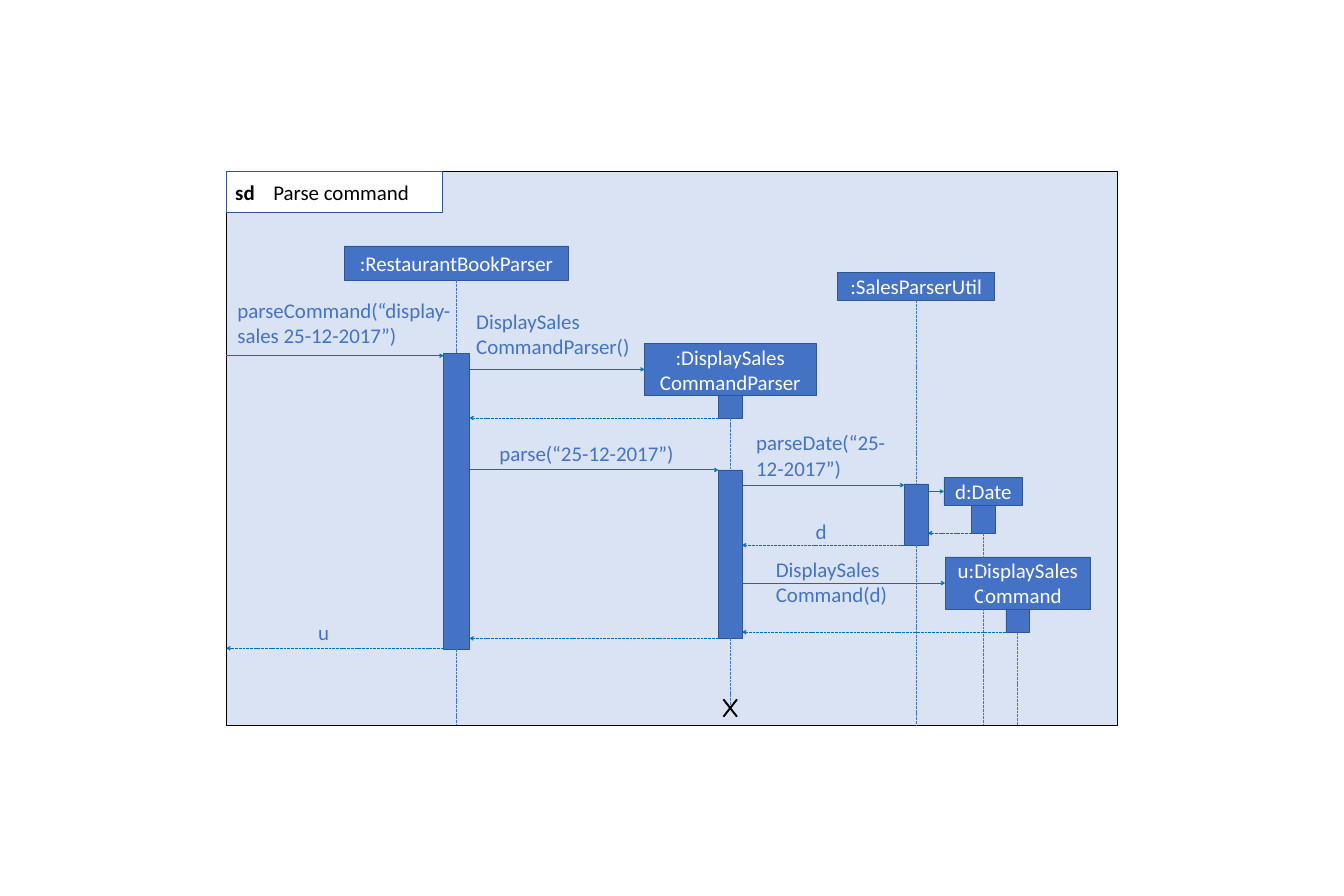
from lxml import etree
from pptx import Presentation
from pptx.dml.color import RGBColor
from pptx.enum.dml import MSO_LINE
from pptx.enum.shapes import MSO_CONNECTOR, MSO_SHAPE
from pptx.enum.text import MSO_ANCHOR, PP_ALIGN
from pptx.oxml.ns import qn
from pptx.util import Inches, Pt

RECT = MSO_SHAPE.RECTANGLE
CROSS = MSO_SHAPE.MATH_MULTIPLY
STRAIGHT = MSO_CONNECTOR.STRAIGHT
DASH = MSO_LINE.SQUARE_DOT
MIDDLE = MSO_ANCHOR.MIDDLE
CENTER = PP_ALIGN.CENTER

BLUE, EDGE, ARROW = "4472C4", "325491", "0070C0"
PALE, WHITE, BLACK = "DAE3F3", "FFFFFF", "000000"
FONT, SIZE = "Calibri", 33.6
PARSER, SALES, UTIL, DATE, CMD = 10.19, 16.3, 20.45, 21.95, 22.72
LEFT, TOP, WIDTH, BOTTOM = 5.05, 3.83, 19.9, 16.18
BAR = 0.53


def color(code):
    return RGBColor.from_string(code)


def style(frame, code):
    for para in frame.paragraphs:
        for run in para.runs:
            run.font.name = FONT
            run.font.size = Pt(SIZE)
            run.font.color.rgb = color(code)


def block(slide, x, y, w, h, fill=BLUE, edge=EDGE, kind=RECT):
    shape = slide.shapes.add_shape(kind, Inches(x), Inches(y), Inches(w), Inches(h))
    shape.shadow.inherit = False
    shape.fill.solid()
    shape.fill.fore_color.rgb = color(fill)
    shape.line.color.rgb = color(edge)
    shape.line.width = Pt(1)
    return shape


def head(slide, mid, y, w, h, text):
    shape = block(slide, mid - w / 2, y, w, h)
    frame = shape.text_frame
    frame.word_wrap = True
    frame.vertical_anchor = MIDDLE
    frame.margin_left = frame.margin_right = Inches(0.24)
    frame.margin_top = frame.margin_bottom = Inches(0.12)
    frame.text = text
    for para in frame.paragraphs:
        para.alignment = CENTER
    style(frame, WHITE)
    return shape


def bar(slide, mid, top, end, w=BAR):
    return block(slide, mid - w / 2, top, w, end - top)


def label(slide, x, y, w, h, text):
    box = slide.shapes.add_textbox(Inches(x), Inches(y), Inches(w), Inches(h))
    box.text_frame.word_wrap = True
    box.text_frame.text = text
    style(box.text_frame, BLUE)


def line(slide, x1, y1, x2, y2, code, dashed):
    link = slide.shapes.add_connector(STRAIGHT, x1, y1, x2, y2)
    link.line.color.rgb = color(code)
    link.line.width = Pt(1.5)
    if dashed:
        link.line.dash_style = DASH
    etree.SubElement(link._element.spPr, qn("a:effectLst"))
    return link


def life(slide, start, end):
    x, y = start.left + start.width // 2, start.top + start.height
    joined = not isinstance(end, float)
    stop = end.top if joined else Inches(end)
    link = line(slide, x, y, x, stop, BLUE, True)
    link.begin_connect(start, 2)
    if joined:
        link.end_connect(end, 0)


def send(slide, x1, x2, y, dashed=False):
    link = line(slide, x1, y, x2, y, ARROW, dashed)
    etree.SubElement(link.line._get_or_add_ln(), qn("a:tailEnd"), type="arrow")
    return link


def call(slide, source, target, y):
    send(slide, source.left + source.width, target.left, Inches(y))


def create(slide, source, target):
    y = target.top + target.height // 2
    send(slide, source.left + source.width, target.left, y).end_connect(target, 1)


def reply(slide, source, target, y):
    send(slide, source.left, target.left + target.width, Inches(y), True)


def title(slide):
    frame = block(slide, LEFT, TOP, 4.82, 0.9, WHITE).text_frame
    frame.vertical_anchor = MIDDLE
    frame.margin_left = Inches(0.2)
    para = frame.paragraphs[0]
    para.alignment = PP_ALIGN.LEFT
    tabs = etree.SubElement(para._p.get_or_add_pPr(), qn("a:tabLst"))
    etree.SubElement(tabs, qn("a:tab"), pos=str(Inches(0.85)), algn="l")
    for text, bold in (("sd", True), ("\tParse command", False)):
        run = para.add_run()
        run.text = text
        run.font.bold = bold
    style(frame, BLACK)


def main():
    deck = Presentation()
    deck.slide_width, deck.slide_height = Inches(30), Inches(20)
    slide = deck.slides.add_slide(deck.slide_layouts[6])
    block(slide, LEFT, TOP, WIDTH, BOTTOM - TOP, PALE, BLACK)
    title(slide)

    parser = head(slide, PARSER, 5.49, 4.99, 0.77, ":RestaurantBookParser")
    sales = head(slide, SALES, 7.66, 3.83, 1.17, ":DisplaySales\nCommandParser")
    util = head(slide, UTIL, 6.08, 3.5, 0.62, ":SalesParserUtil")
    date = head(slide, DATE, 10.66, 1.76, 0.62, "d:Date")
    cmd = head(slide, CMD, 12.43, 3.25, 1.17, "u:DisplaySalesCommand")

    run = bar(slide, PARSER, 7.89, 14.49, 0.58)
    made = bar(slide, SALES, 8.83, 9.33)
    parse = bar(slide, SALES, 10.49, 14.25)
    check = bar(slide, UTIL, 10.8, 12.17)
    day = bar(slide, DATE, 11.28, 11.9)
    built = bar(slide, CMD, 13.6, 14.11)

    for start, end in (
        (parser, run), (run, BOTTOM), (made, parse), (parse, 15.74),
        (util, check), (check, BOTTOM), (day, BOTTOM), (built, BOTTOM),
    ):
        life(slide, start, end)
    cross = block(slide, SALES - 0.285, 15.44, 0.57, 0.73, BLACK, BLACK, CROSS)
    cross.adjustments[0] = 0.05

    send(slide, Inches(LEFT), run.left, Inches(7.94))
    send(slide, run.left, Inches(LEFT), Inches(14.47), True)
    for source, target in ((run, sales), (check, date), (parse, cmd)):
        create(slide, source, target)
    for source, target, y in ((run, parse, 10.49), (parse, check, 10.83)):
        call(slide, source, target, y)
    for source, target, y in (
        (made, run, 9.33), (day, check, 11.9), (check, parse, 12.17),
        (built, parse, 14.11), (parse, run, 14.25),
    ):
        reply(slide, source, target, y)

    for x, y, w, h, text in (
        (5.2, 6.6, 4.99, 1.23, "parseCommand(“display-sales 25-12-2017”)"),
        (10.53, 6.83, 4.08, 1.23, "DisplaySales\nCommandParser()"),
        (11.05, 9.79, 4.5, 0.67, "parse(“25-12-2017”)"),
        (16.78, 9.55, 3.43, 1.23, "parseDate(“25-12-2017”)"),
        (18.11, 11.52, 0.44, 0.67, "d"),
        (17.22, 12.37, 5.07, 1.23, "DisplaySales\nCommand(d)"),
        (7, 13.79, 0.81, 0.67, "u"),
    ):
        label(slide, x, y, w, h, text)
    deck.save("out.pptx")


if __name__ == "__main__":
    main()
